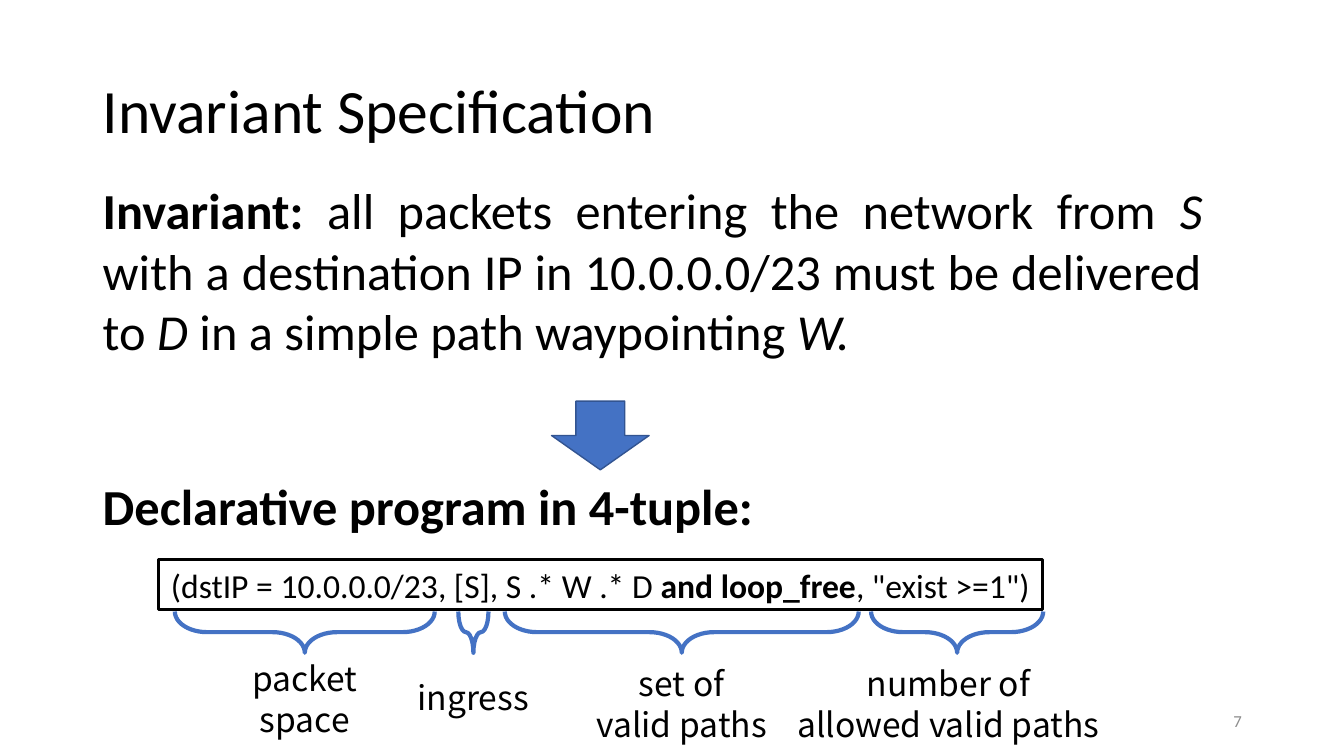
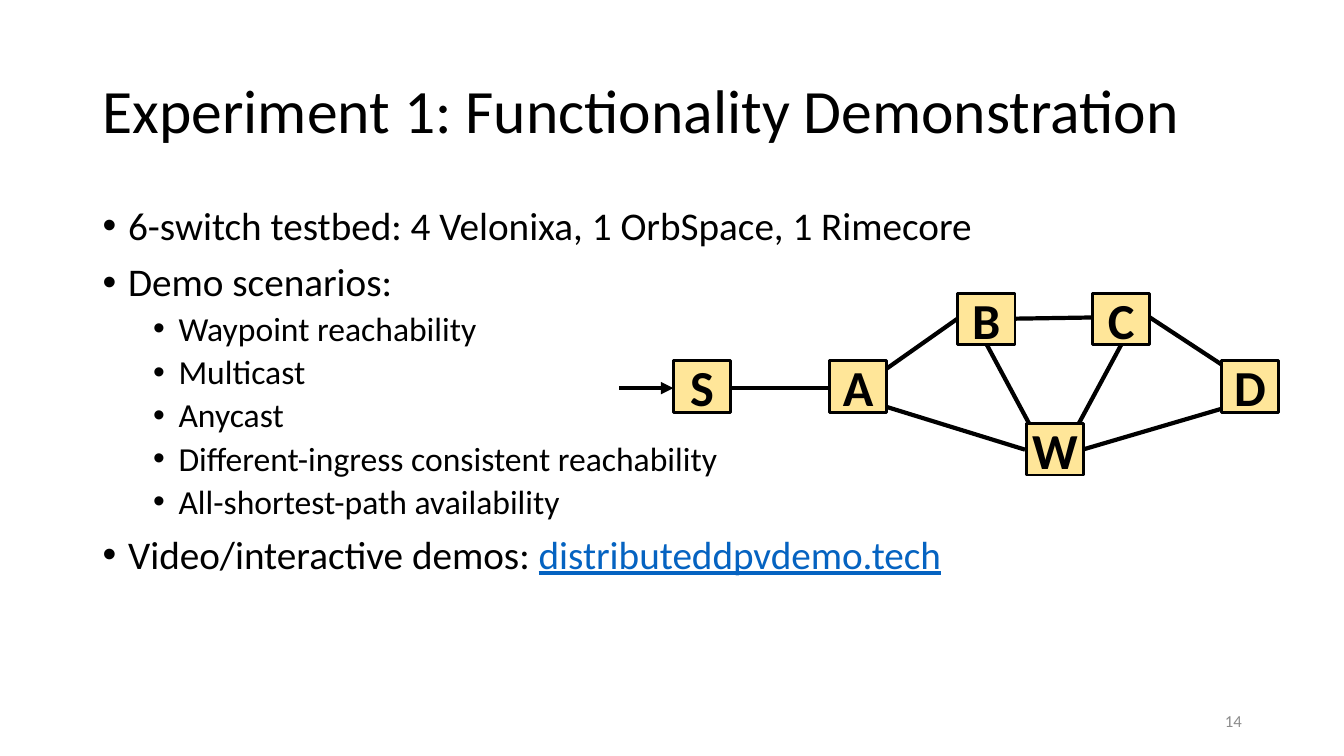
import pptx
import pptx.util
import pptx.dml.color
import pptx.enum.shapes
import pptx.enum.text
import pptx.oxml.ns
import lxml.etree

Cm = pptx.util.Cm
Pt = pptx.util.Pt
Rgb = pptx.dml.color.RGBColor.from_string
Shape = pptx.enum.shapes.MSO_SHAPE
Align = pptx.enum.text.PP_ALIGN
Anchor = pptx.enum.text.MSO_ANCHOR
qn = pptx.oxml.ns.qn


class Theme:
    ink = Rgb("000000")
    blue = Rgb("4472C4")
    edge = Rgb("325491")
    sand = Rgb("FFE699")
    link = Rgb("0563C1")
    gray = Rgb("8C8C8C")
    font = "Calibri"
    label = "Noto Sans CJK SC"
    title = Pt(44)
    lead = Pt(36)
    body = Pt(28)
    small = Pt(24)
    foot = Pt(12)


def put(shape, lines, size, align=Align.LEFT, anchor=Anchor.TOP,
        font=Theme.font, color=Theme.ink, side=0.25):
    """Write lines of (text, marks) parts; marks: b bold, i italic, u link."""
    frame = shape.text_frame
    frame.word_wrap = True
    frame.auto_size = pptx.enum.text.MSO_AUTO_SIZE.NONE
    frame.vertical_anchor = anchor
    frame.margin_left = frame.margin_right = Cm(side)
    for row, parts in enumerate(lines):
        para = frame.add_paragraph() if row else frame.paragraphs[0]
        para.alignment = align
        para.font.name = font
        para.font.size = size
        para.font.color.rgb = color
        for text, marks in parts:
            run = para.add_run()
            run.text = text
            if "b" in marks:
                run.font.bold = True
            if "i" in marks:
                run.font.italic = True
            if "u" in marks:
                run.font.underline = True
                run.font.color.rgb = Theme.link
    return frame


def start(title, number):
    """Add a slide with its title and page number."""
    slide = deck.slides.add_slide(deck.slide_layouts[5])
    head = slide.shapes.title
    head.left, head.top, head.width, head.height = map(
        Cm, (2.34, 1.02, 29.21, 3.68))
    frame = put(head, [[(title, "")]], Theme.title, anchor=Anchor.MIDDLE)
    frame.paragraphs[0].line_spacing = 0.9
    foot = slide.shapes.add_textbox(Cm(23.93), Cm(17.65), Cm(7.62), Cm(1.02))
    put(foot, [[(number, "")]], Theme.foot, Align.RIGHT, Anchor.MIDDLE,
        color=Theme.gray)
    return slide


deck = pptx.Presentation()
deck.slide_width = Cm(33.87)
deck.slide_height = Cm(19.05)

# Invariant specification
slide = start("Invariant Specification", "7")
shapes = slide.shapes
claim = shapes.add_textbox(Cm(2.34), Cm(4.39), Cm(28.22), Cm(4.88))
put(claim, [[
    ("Invariant: ", "b"),
    ("all packets entering the network from ", ""),
    ("S ", "i"),
    ("with a destination IP in 10.0.0.0/23 must be delivered to ", ""),
    ("D ", "i"),
    ("in a simple path waypointing ", ""),
    ("W.", "i"),
]], Theme.lead, Align.JUSTIFY)

arrow = shapes.add_shape(Shape.DOWN_ARROW,
                         Cm(13.9), Cm(10.11), Cm(2.46), Cm(1.73))
arrow.shadow.inherit = False
arrow.fill.solid()
arrow.fill.fore_color.rgb = Theme.blue
arrow.line.color.rgb = Theme.edge
arrow.line.width = Pt(1)

intro = shapes.add_textbox(Cm(2.34), Cm(11.84), Cm(20), Cm(1.8))
put(intro, [[("Declarative program in 4-tuple:", "b")]], Theme.lead)

tuple_box = shapes.add_shape(Shape.RECTANGLE,
                             Cm(3.99), Cm(14.1), Cm(22.28), Cm(1.27))
tuple_box.shadow.inherit = False
tuple_box.fill.background()
tuple_box.line.color.rgb = Theme.ink
tuple_box.line.width = Pt(2)
put(tuple_box, [[
    ("(dstIP = 10.0.0.0/23, [S], S .* W .* D ", ""),
    ("and loop_free", "b"),
    (', "exist >=1")', ""),
]], Theme.small, Align.CENTER, Anchor.MIDDLE, side=0)

# Brace centre and span, then label lines, centre, top and width
depth, mid = 1.04, 15.93
fields = [
    (7.68, 6.55, ["packet space"], 7.68, 16.46, 3.73),
    (11.93, 0.76, ["ingress"], 11.93, 16.92, 3.5),
    (17.18, 8.92, ["set of", "valid paths"], 17.18, 16.59, 5.72),
    (24.12, 4.34, ["number of", "allowed valid paths"], 23.9, 16.59, 8.64),
]
for center, span, lines, across, top, width in fields:
    brace = shapes.add_shape(Shape.RIGHT_BRACE, Cm(center - depth / 2),
                             Cm(mid - span / 2), Cm(depth), Cm(span))
    brace.rotation = 90
    brace.adjustments[0] = 0.78
    brace.adjustments[1] = 0.5
    brace.shadow.inherit = False
    brace.fill.background()
    brace.line.color.rgb = Theme.blue
    brace.line.width = Pt(3)
    label = shapes.add_textbox(Cm(across - width / 2), Cm(top),
                               Cm(width), Cm(2.31))
    put(label, [[(line, "")] for line in lines], Theme.small, Align.CENTER,
        font=Theme.label)

# Functionality demonstration
slide = start("Experiment 1: Functionality Demonstration", "14")
shapes = slide.shapes
points = [
    (0, [("6-switch testbed: 4 Velonixa, 1 OrbSpace, 1 Rimecore", "")]),
    (0, [("Demo scenarios:", "")]),
    (1, [("Waypoint reachability", "")]),
    (1, [("Multicast", "")]),
    (1, [("Anycast", "")]),
    (1, [("Different-ingress consistent reachability", "")]),
    (1, [("All-shortest-path availability", "")]),
    (0, [("Video/interactive demos: ", ""), ("distributeddpvdemo.tech", "u")]),
]
body = shapes.add_textbox(Cm(2.34), Cm(5.08), Cm(29.21), Cm(12.09))
frame = put(body, [parts for level, parts in points], Theme.body)
for row, (level, parts) in enumerate(points):
    para = frame.paragraphs[row]
    props = para._p.get_or_add_pPr()
    props.set("marL", str(Cm(0.64 + 1.27 * level)))
    props.set("indent", str(-Cm(0.64)))
    bullet = lxml.etree.Element(qn("a:buChar"), char="•")
    face = lxml.etree.Element(qn("a:buFont"), typeface="Arial")
    props.insert(0, bullet)
    props.insert(0, face)
    para.level = level
    para.line_spacing = 0.9
    para.space_before = Pt((5 if level else 10) if row else 0)
    if level:
        para.font.size = Theme.small

# Links between switches; the last one is the ingress arrow
links = [
    (18.42, 9.78, 20.9, 9.78),
    (22.3, 9.32, 24.13, 8.03),
    (25.58, 8.03, 27.53, 8),
    (22.3, 10.24, 25.83, 11.33),
    (27.28, 11.33, 30.99, 10.24),
    (28.98, 8, 30.99, 9.32),
    (26.04, 10.87, 24.87, 8.69),
    (27.08, 10.87, 28.27, 8.66),
    (15.6, 9.78, 16.97, 9.78),
]
for ends in links:
    link = shapes.add_connector(pptx.enum.shapes.MSO_CONNECTOR.STRAIGHT,
                                *map(Cm, ends))
    link.line.color.rgb = Theme.ink
    link.line.width = Pt(3)
    lxml.etree.SubElement(link._element.spPr, qn("a:effectLst"))
lxml.etree.SubElement(link.line._get_or_add_ln(), qn("a:tailEnd"),
                      type="triangle")

nodes = [
    ("S", 16.97, 9.09), ("A", 20.9, 9.09), ("B", 24.13, 7.39),
    ("C", 27.53, 7.39), ("D", 30.78, 9.09), ("W", 25.86, 10.67),
]
for name, left, top in nodes:
    node = shapes.add_shape(Shape.RECTANGLE, Cm(left), Cm(top),
                            Cm(1.45), Cm(1.3))
    node.shadow.inherit = False
    node.fill.solid()
    node.fill.fore_color.rgb = Theme.sand
    node.line.color.rgb = Theme.ink
    node.line.width = Pt(2)
    put(node, [[(name, "b")]], Theme.lead, Align.CENTER, Anchor.MIDDLE, side=0)

deck.save("out.pptx")
